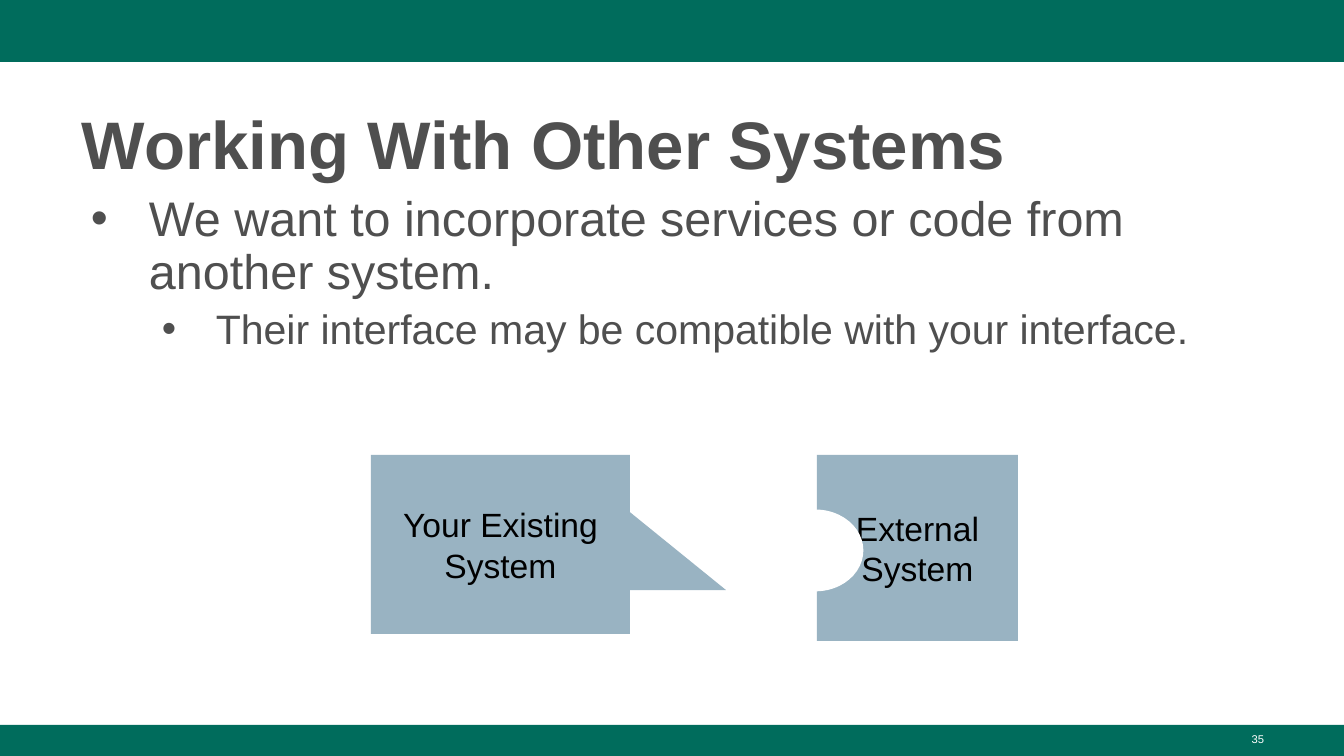
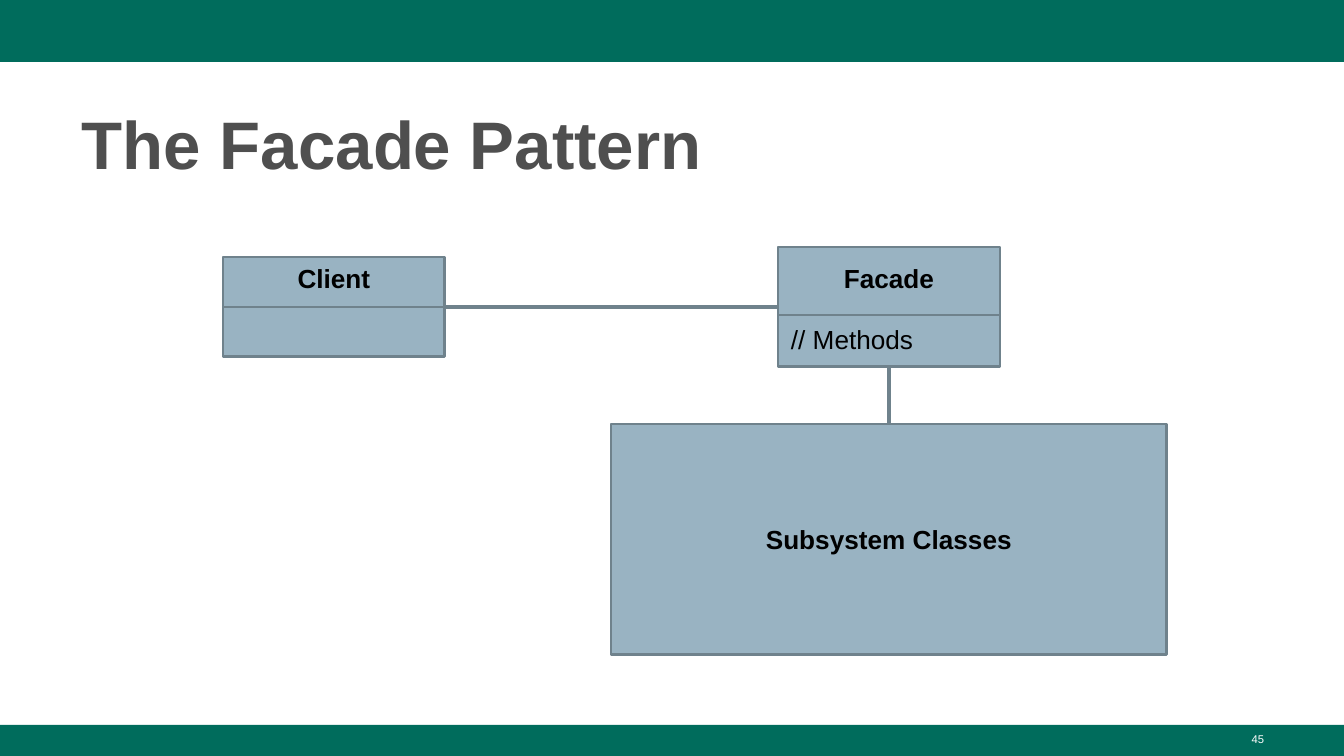
from lxml import etree
from pptx import Presentation
from pptx import util as u
from pptx.dml.color import RGBColor
from pptx.enum import shapes, text
from pptx.oxml import ns

SCALE = 914400 / 134.4
KIND = shapes.MSO_SHAPE
ALIGN = text.PP_ALIGN
ANCHOR = text.MSO_ANCHOR


class Theme:
    font = "Arial"
    green = RGBColor.from_string("006C5C")
    grey = RGBColor.from_string("4F4F4F")
    blue = RGBColor.from_string("99B3C2")
    edge = RGBColor.from_string("6F828C")
    white = RGBColor.from_string("FFFFFF")
    black = RGBColor.from_string("000000")
    title, body, sub, block, label, number = 36, 26, 22, 18, 14, 6
    thin, thick = 1.5, 2.25


def draw(s, kind, at, fill, line=None):
    sp = s.shapes.add_shape(kind, *(round(v * SCALE) for v in at))
    sp.shadow.inherit = False
    sp.fill.solid()
    sp.fill.fore_color.rgb = fill
    if line is None:
        sp.line.fill.background()
    else:
        sp.line.color.rgb = line
        sp.line.width = u.Pt(Theme.thin)
    return sp


def write(sp, words, size, color=Theme.black, bold=False, align=ALIGN.LEFT, anchor=ANCHOR.TOP,
          inset=(13, 7), spacing=None, before=0, level=0, bullet=None):
    tf = sp.text_frame
    tf.word_wrap = True
    tf.vertical_anchor = anchor
    tf.margin_left = tf.margin_right = round(inset[0] * SCALE)
    tf.margin_top = tf.margin_bottom = round(inset[1] * SCALE)
    p = tf.add_paragraph() if tf.text else tf.paragraphs[0]
    p.level = level
    if bullet:
        pPr = p._p.get_or_add_pPr()
        pPr.set("marL", str(round(bullet[0] * SCALE)))
        pPr.set("indent", str(round(bullet[1] * SCALE)))
        etree.SubElement(pPr, ns.qn("a:buFont")).set("typeface", Theme.font)
        etree.SubElement(pPr, ns.qn("a:buChar")).set("char", "•")
    p.alignment = align
    p.space_before = u.Pt(before)
    if spacing:
        p.line_spacing = spacing
    r = p.add_run()
    r.text = words
    r.font.name = Theme.font
    r.font.size = u.Pt(size)
    r.font.bold = bold
    r.font.color.rgb = color


prs = Presentation()
prs.slide_width, prs.slide_height = round(1344 * SCALE), round(756 * SCALE)

slides = []
for title, number in [("Working With Other Systems", "35"), ("The Facade Pattern", "45")]:
    s = prs.slides.add_slide(prs.slide_layouts[6])
    for top, height in [(0, 62), (725, 31)]:
        draw(s, KIND.RECTANGLE, (0, top, 1344, height), Theme.green)
    heading = s.shapes.add_textbox(*(round(v * SCALE) for v in (69, 90, 1208, 98)))
    write(heading, title, Theme.title, Theme.grey, bold=True, anchor=ANCHOR.MIDDLE, spacing=1.08)
    footer = s.shapes.add_textbox(*(round(v * SCALE) for v in (964, 726, 313, 30)))
    write(footer, number, Theme.number, Theme.white, align=ALIGN.RIGHT)
    slides.append(s)

systems, facade = slides

body = systems.shapes.add_textbox(*(round(v * SCALE) for v in (69, 188, 1208, 512)))
write(body, "We want to incorporate services or code from another system.", Theme.body,
      Theme.grey, spacing=0.9, bullet=(67, -58))
write(body, "Their interface may be compatible with your interface.", Theme.sub,
      Theme.grey, spacing=0.9, before=5, level=1, bullet=(134, -54))

draw(systems, KIND.ISOSCELES_TRIANGLE, (499, 498, 227, 92), Theme.blue)
for words, at in [("Your Existing System", (371, 455, 259, 179)),
                  ("External System", (817, 455, 201, 186))]:
    block = draw(systems, KIND.RECTANGLE, at, Theme.blue)
    write(block, words, Theme.block, align=ALIGN.CENTER, anchor=ANCHOR.MIDDLE, inset=(13, 13))
draw(systems, KIND.OVAL, (769, 511, 93, 79), Theme.white, Theme.white)

client_box = draw(facade, KIND.RECTANGLE, (223, 257, 222, 100), Theme.blue, Theme.edge)
write(client_box, "Client", Theme.label, bold=True, align=ALIGN.CENTER, inset=(13, 5))

facade_box = draw(facade, KIND.RECTANGLE, (778, 247, 222, 120), Theme.blue, Theme.edge)
write(facade_box, "Facade", Theme.label, bold=True, align=ALIGN.CENTER, inset=(13, 15))
write(facade_box, "// Methods", Theme.label, before=16, inset=(13, 15))

subsystem_box = draw(facade, KIND.RECTANGLE, (611, 424, 556, 231), Theme.blue, Theme.edge)
write(subsystem_box, "Subsystem Classes", Theme.label, bold=True, align=ALIGN.CENTER,
      anchor=ANCHOR.MIDDLE, inset=(13, 13))

for ends, width in [((223, 307, 445, 307), Theme.thin),
                    ((778, 315, 1000, 315), Theme.thin),
                    ((445, 307, 778, 307), Theme.thick),
                    ((889, 424, 889, 367), Theme.thick)]:
    link = facade.shapes.add_connector(shapes.MSO_CONNECTOR.STRAIGHT,
                                       *(round(v * SCALE) for v in ends))
    link.line.color.rgb = Theme.edge
    link.line.width = u.Pt(width)
    etree.SubElement(link._element.spPr, ns.qn("a:effectLst"))

prs.save("out.pptx")
